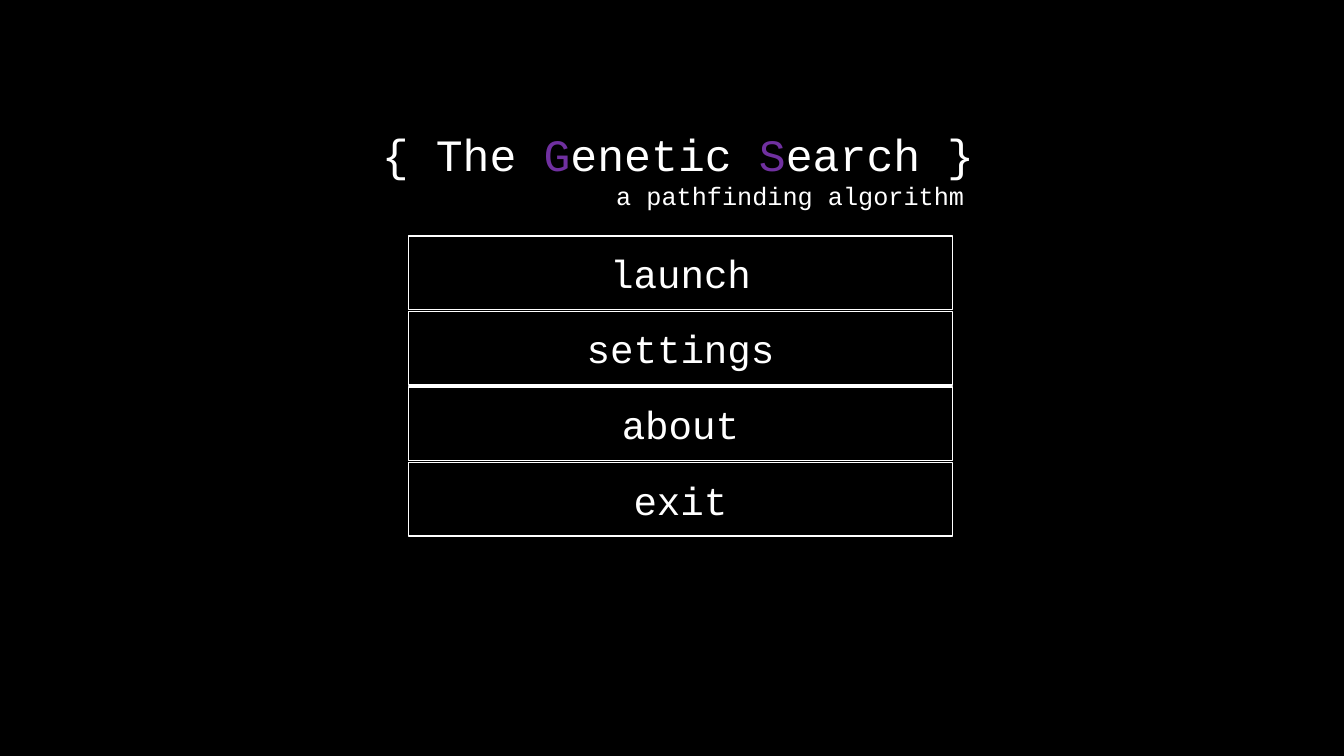
import pptx
import pptx.dml.color
import pptx.enum.shapes
import pptx.enum.text
import pptx.util

Inches = pptx.util.Inches
Align = pptx.enum.text.PP_ALIGN
FONT = "Courier New"
BLACK, WHITE, PURPLE = "000000", "FFFFFF", "7030A0"


def color(hex_value):
    return pptx.dml.color.RGBColor.from_string(hex_value)


def style(paragraph, size, alignment):
    paragraph.alignment = alignment
    paragraph.font.name = FONT
    paragraph.font.size = pptx.util.Pt(size)
    paragraph.font.color.rgb = color(WHITE)


def add_title(slide, left, top, width, height):
    box = slide.shapes.add_textbox(Inches(left), Inches(top), Inches(width), Inches(height))
    frame = box.text_frame
    frame.word_wrap = True
    # Title with purple initials
    title = frame.paragraphs[0]
    style(title, 32, Align.LEFT)
    for text in ("{ The ", "G", "enetic ", "S", "earch }"):
        run = title.add_run()
        run.text = text
        if text in ("G", "S"):
            run.font.color.rgb = color(PURPLE)
    # Subtitle
    subtitle = frame.add_paragraph()
    subtitle.text = "a pathfinding algorithm "
    style(subtitle, 18, Align.RIGHT)


def add_menu(slide, labels, left, top, width, height, gap=0.02):
    button_height = (height - gap * (len(labels) - 1)) / len(labels)
    for index, label in enumerate(labels):
        button_top = top + index * (button_height + gap)
        button = slide.shapes.add_shape(
            pptx.enum.shapes.MSO_SHAPE.RECTANGLE,
            Inches(left), Inches(button_top), Inches(width), Inches(button_height))
        button.shadow.inherit = False
        button.fill.background()
        button.line.color.rgb = color(WHITE)
        button.line.width = pptx.util.Pt(1)
        frame = button.text_frame
        frame.vertical_anchor = pptx.enum.text.MSO_ANCHOR.MIDDLE
        frame.text = label
        style(frame.paragraphs[0], 28, Align.CENTER)


presentation = pptx.Presentation()
presentation.slide_width = Inches(13.33)
presentation.slide_height = Inches(7.5)
slide = presentation.slides.add_slide(presentation.slide_layouts[6])
slide.background.fill.solid()
slide.background.fill.fore_color.rgb = color(BLACK)

add_title(slide, 3.69, 1.21, 6.12, 0.94)
add_menu(slide, ("launch", "settings", "about", "exit"), 4.05, 2.34, 5.4, 2.98)

presentation.save("out.pptx")
